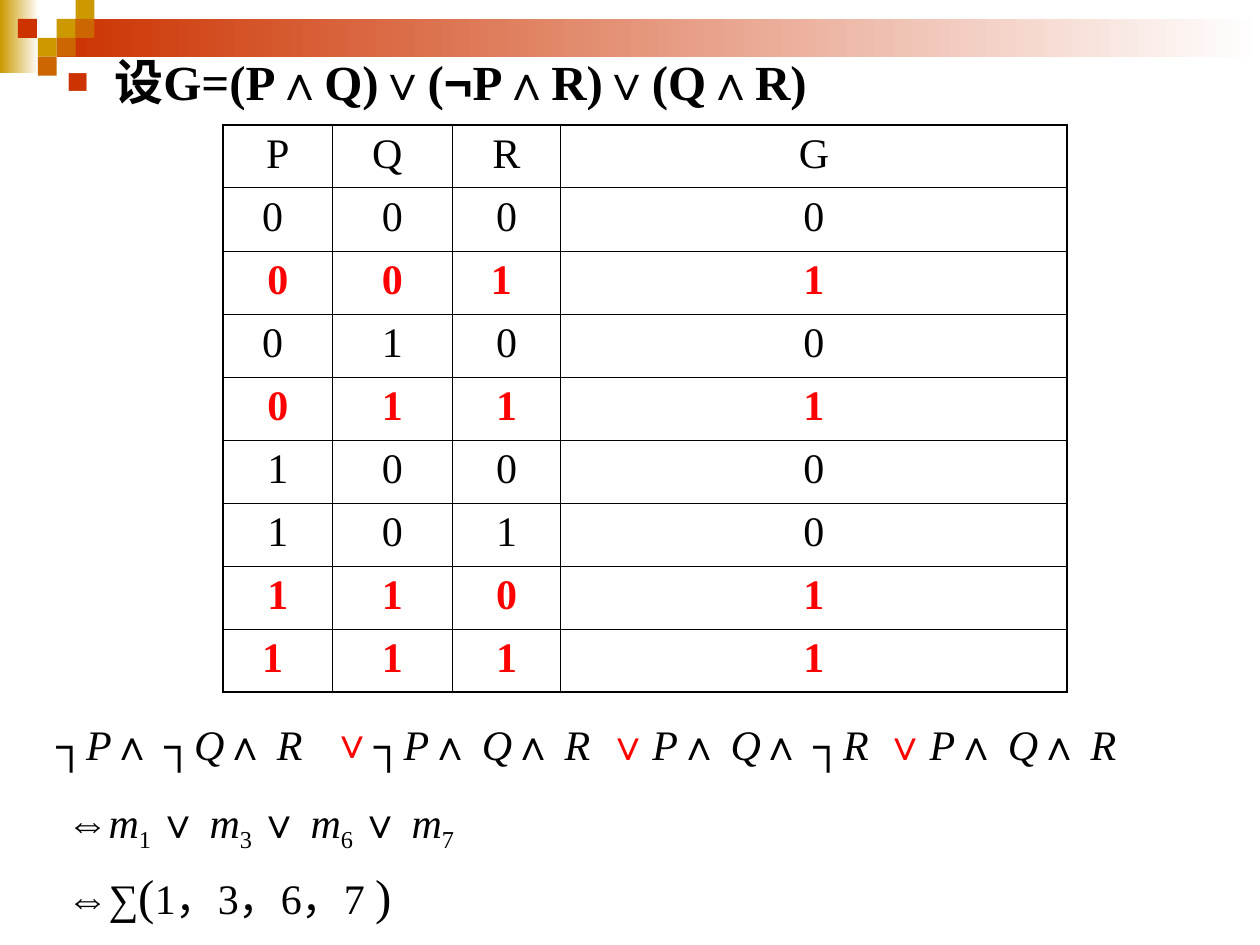
import itertools

import lxml.etree
import pptx
import pptx.dml.color
import pptx.enum.shapes
import pptx.enum.text
import pptx.oxml
import pptx.oxml.ns
import pptx.util

Inches = pptx.util.Inches
Pt = pptx.util.Pt
RGBColor = pptx.dml.color.RGBColor
qn = pptx.oxml.ns.qn

BLACK = RGBColor(0x00, 0x00, 0x00)
WHITE = RGBColor(0xFF, 0xFF, 0xFF)
RED = RGBColor(0xFF, 0x00, 0x00)
GOLD = RGBColor(0xCC, 0x99, 0x00)
ORANGE = RGBColor(0xCC, 0x66, 0x00)
BRICK = RGBColor(0xCC, 0x33, 0x00)

SERIF = {"name": "Times New Roman", "size": Pt(24)}
ITALIC = {**SERIF, "italic": True}
BOLD = {**SERIF, "bold": True}
LARGE = {**SERIF, "size": Pt(28)}
ARROW = {**SERIF, "name": "Arial"}
TITLE = {**LARGE, "bold": True}
TITLE_SYMBOL = {**TITLE, "name": "Arial"}


def add_run(paragraph, text, formats, color=BLACK):
    run = paragraph.add_run()
    run.text = text
    for attribute, value in formats.items():
        setattr(run.font, attribute, value)
    run.font.color.rgb = color
    return run


def add_line(left, top, width, height, wrap=True):
    box = slide.shapes.add_textbox(Inches(left), Inches(top), Inches(width), Inches(height))
    box.text_frame.word_wrap = wrap
    paragraph = box.text_frame.paragraphs[0]
    if wrap:
        paragraph._p.get_or_add_pPr().set("marL", str(Inches(0.38)))
        paragraph._p.get_or_add_pPr().set("indent", str(Inches(-0.38)))
    else:
        box.text_frame.auto_size = pptx.enum.text.MSO_AUTO_SIZE.SHAPE_TO_FIT_TEXT
    return paragraph


presentation = pptx.Presentation()
presentation.slide_width = Inches(10)
presentation.slide_height = Inches(7.5)
slide = presentation.slides.add_slide(presentation.slide_layouts[6])

SQUARE = 0.15
banner = [
    (0, 0, 0.31, 0.58, GOLD, True),
    (0.45, 0.15, 9.55, 0.3, BRICK, True),
]
for column, row, color in [
    (3, 1, GOLD), (4, 0, GOLD), (4, 1, ORANGE), (2, 2, GOLD),
    (0.95, 1, BRICK), (3, 2, ORANGE), (2, 3, ORANGE),
]:
    banner.append((column * SQUARE, row * SQUARE, SQUARE, SQUARE, color, False))

for left, top, width, height, color, fades in banner:
    tile = slide.shapes.add_shape(
        pptx.enum.shapes.MSO_SHAPE.RECTANGLE,
        Inches(left), Inches(top), Inches(width), Inches(height),
    )
    tile.shadow.inherit = False
    tile.line.fill.background()
    if fades:
        tile.fill.gradient()
        tile.fill.gradient_angle = 0
        for stop, stop_color, position in zip(tile.fill.gradient_stops, (color, WHITE), (0, 1)):
            stop.color.rgb = stop_color
            stop.position = position
    else:
        tile.fill.solid()
        tile.fill.fore_color.rgb = color

formula = add_line(0.43, 0.36, 8.98, 0.71)
formula_properties = formula._p.get_or_add_pPr()
bullet_color = lxml.etree.SubElement(formula_properties, qn("a:buClr"))
lxml.etree.SubElement(bullet_color, qn("a:srgbClr")).set("val", str(BRICK))
for tag, attribute, value in [
    ("a:buSzPct", "val", "75000"),
    ("a:buFont", "typeface", "Arial"),
    ("a:buChar", "char", "■"),
]:
    lxml.etree.SubElement(formula_properties, qn(tag)).set(attribute, value)
for is_symbol, letters in itertools.groupby("设G=(P∧Q)∨(¬P∧R)∨(Q∧R)", lambda letter: letter in "∧∨¬"):
    add_run(formula, "".join(letters), TITLE_SYMBOL if is_symbol else TITLE)

truth_rows = [
    ("P", "Q ", "R", "G"),
    ("0 ", "0", "0", "0"),
    ("0", "0", "1 ", "1"),
    ("0 ", "1", "0", "0"),
    ("0", "1", "1", "1"),
    ("1", "0", "0", "0"),
    ("1", "0", "1", "0"),
    ("1", "1", "0", "1"),
    ("1 ", "1", "1", "1"),
]
column_widths = [0.87, 0.95, 0.86, 4.02]
last_row = len(truth_rows) - 1
last_column = len(column_widths) - 1
truth_table = slide.shapes.add_table(
    len(truth_rows), len(column_widths), Inches(1.77), Inches(0.99), Inches(6.7), Inches(4.5)
).table
truth_table.first_row = False
truth_table.horz_banding = False
for column, width in zip(truth_table.columns, column_widths):
    column.width = Inches(width)

for row, values in enumerate(truth_rows):
    truth_table.rows[row].height = Inches(0.5)
    is_true = values[-1] == "1"
    for column, value in enumerate(values):
        cell = truth_table.cell(row, column)
        paragraph = cell.text_frame.paragraphs[0]
        paragraph.alignment = pptx.enum.text.PP_ALIGN.CENTER
        add_run(paragraph, value, BOLD if is_true else SERIF, RED if is_true else BLACK)
        cell_properties = cell._tc.get_or_add_tcPr()
        for tag, is_outer in [
            ("a:lnL", column == 0),
            ("a:lnR", column == last_column),
            ("a:lnT", row == 0),
            ("a:lnB", row == last_row),
        ]:
            border = lxml.etree.SubElement(cell_properties, qn(tag))
            border.set("w", str(Pt(1.08 if is_outer else 0.45)))
            border_fill = lxml.etree.SubElement(border, qn("a:solidFill"))
            lxml.etree.SubElement(border_fill, qn("a:srgbClr")).set("val", str(BLACK))
        cell.fill.solid()
        cell.fill.fore_color.rgb = WHITE

for left, width, minterm in [
    (0.35, 2.36, "┐P∧ ┐Q∧ R"),
    (2.87, 2.36, "┐P∧ Q∧ R"),
    (5.08, 2.36, "P∧ Q∧ ┐R"),
    (7.28, 1.77, "P∧ Q∧ R"),
]:
    paragraph = add_line(left, 5.65, width, 0.55)
    for is_variable, letters in itertools.groupby(minterm, str.isalpha):
        add_run(paragraph, "".join(letters), ITALIC if is_variable else SERIF)

for left, top in [(2.53, 5.64), (4.72, 5.65), (6.92, 5.65)]:
    add_run(add_line(left, top, 0.47, 0.5, wrap=False), "∨", BOLD, RED)

minterm_sum = add_line(0.43, 6.27, 8.43, 1.14)
add_run(minterm_sum, "⇔", ARROW)
for position, index in enumerate(["1 ", "3 ", "6 ", "7"]):
    if position:
        add_run(minterm_sum, "∨ ", BOLD)
    add_run(minterm_sum, "m", ITALIC)
    subscript = add_run(minterm_sum, index, SERIF)
    subscript.font._element.set("baseline", "-25000")

index_sum = minterm_sum._parent.add_paragraph()
index_sum.space_before = Pt(7)
index_sum._p.get_or_add_pPr().set("marL", str(Inches(0.38)))
index_sum._p.get_or_add_pPr().set("indent", str(Inches(-0.38)))
for text, formats in [("⇔", ARROW), ("∑", SERIF), ("(", LARGE), ("1，3，6，7 ", SERIF), (")", LARGE)]:
    add_run(index_sum, text, formats)

presentation.save("out.pptx")
